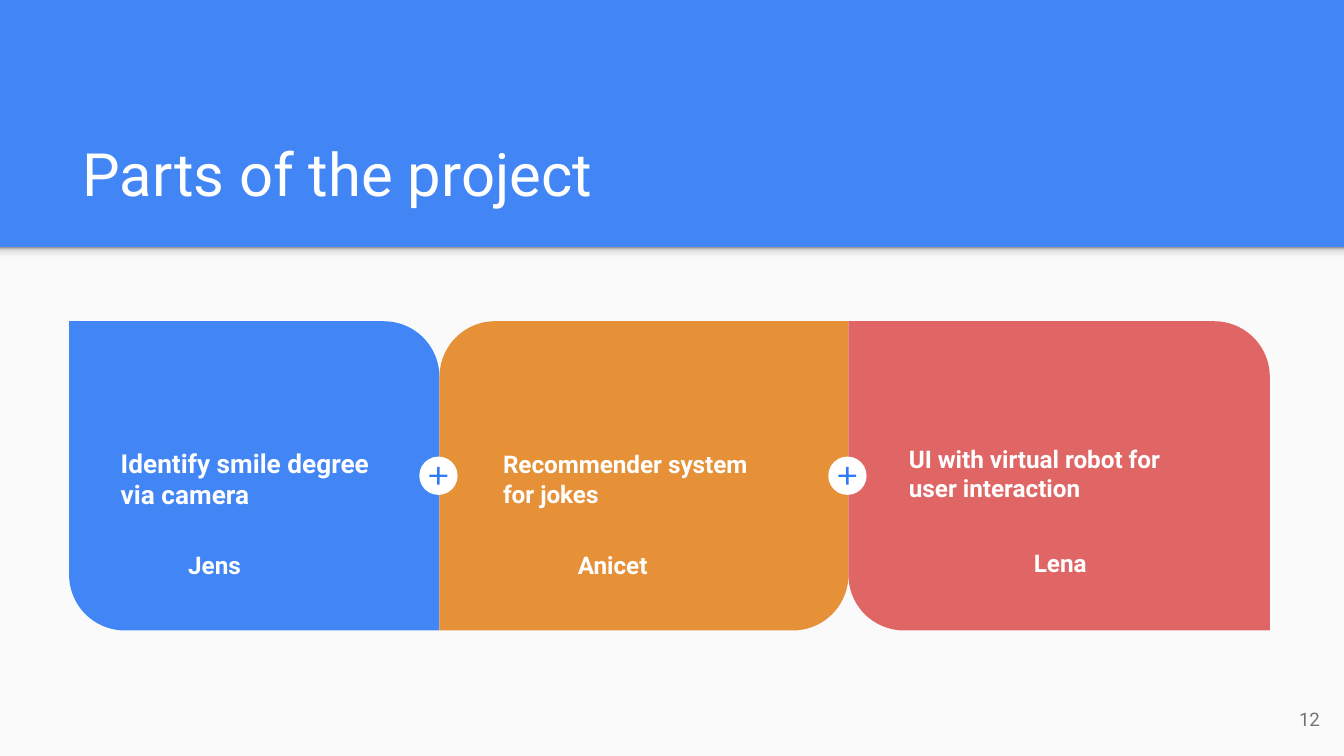
"""Build the slide that shows the three parts of the project and who owns each."""
from lxml import etree
from pptx import Presentation
from pptx import util as u
from pptx.dml.color import RGBColor
from pptx.enum import shapes, text
from pptx.oxml import ns

BLUE = RGBColor(0x42, 0x85, 0xF4)
ORANGE = RGBColor(0xE6, 0x91, 0x38)
RED = RGBColor(0xE0, 0x66, 0x66)
PLUS_BLUE = RGBColor(0x30, 0x7B, 0xF3)
WHITE = RGBColor(0xFF, 0xFF, 0xFF)
BLACK = RGBColor(0x00, 0x00, 0x00)
PAPER = RGBColor(0xFA, 0xFA, 0xFA)
GREY = RGBColor(0x73, 0x73, 0x73)
SHADE = [(0, RGBColor(0xF9, 0xF9, 0xF9)), (36, RGBColor(0xF9, 0xF9, 0xF9)),
         (80, RGBColor(0xDE, 0xDE, 0xDE)), (100, RGBColor(0x99, 0x99, 0x99))]

deck = Presentation()
deck.slide_width = u.Inches(10)
deck.slide_height = deck.slide_width * 9 // 16
COL, ROW = deck.slide_width / 100, deck.slide_height / 100
slide = deck.slides.add_slide(deck.slide_layouts[5])
slide.background.fill.solid()
slide.background.fill.fore_color.rgb = BLUE


def add_block(kind, left, top, width, height, color):
    """Add a flat preset shape measured in grid columns and rows."""
    block = slide.shapes.add_shape(kind, int(left * COL), int(top * ROW),
                                   int(width * COL), int(height * ROW))
    block.shadow.inherit = False
    block.line.fill.background()
    block.fill.solid()
    block.fill.fore_color.rgb = color
    return block


def write(box, left, top, width, height, runs, align, anchor=text.MSO_ANCHOR.TOP):
    """Place a text holder on the grid and fill its only paragraph with runs."""
    box.left, box.top = int(left * COL), int(top * ROW)
    box.width, box.height = int(width * COL), int(height * ROW)
    frame = box.text_frame
    frame.word_wrap = True
    frame.auto_size = text.MSO_AUTO_SIZE.NONE
    frame.vertical_anchor = anchor
    frame.margin_left = frame.margin_right = u.Inches(0.1)
    frame.margin_top = frame.margin_bottom = u.Inches(0.1)
    paragraph = frame.paragraphs[0]
    if TAB in runs:
        tab_stops = etree.SubElement(paragraph._p.get_or_add_pPr(), ns.qn("a:tabLst"))
        etree.SubElement(tab_stops, ns.qn("a:tab"), pos=str(u.Inches(1)), algn="l")
    paragraph.alignment = align
    for words, size, font, color, bold in runs:
        run = paragraph.add_run()
        run.text = words
        run.font.size, run.font.name, run.font.bold = u.Pt(size), font, bold
        run.font.color.rgb = color


LEFT, CENTER, RIGHT = text.PP_ALIGN.LEFT, text.PP_ALIGN.CENTER, text.PP_ALIGN.RIGHT
TAB = ("\t", 14, "Arial", BLACK, False)
HEADER = 32.7
add_block(shapes.MSO_SHAPE.RECTANGLE, 0, HEADER, 100, 100 - HEADER, PAPER)
header_shadow = add_block(shapes.MSO_SHAPE.RECTANGLE, 0, HEADER, 100, 2.1, PAPER)
header_shadow.fill.gradient()
header_shadow.fill.gradient_angle = 90
stops = header_shadow.element.find(".//" + ns.qn("a:gsLst"))
for stop in list(stops):
    stops.remove(stop)
for percent, shade in SHADE:
    stop = etree.SubElement(stops, ns.qn("a:gs"), pos=str(percent * 1000))
    etree.SubElement(stop, ns.qn("a:srgbClr"), val=str(shade))

write(slide.shapes.title, 5.15, 14.4, 89.9, 14.9,
      [("Parts of the project", 32, "Roboto", WHITE, False)], LEFT, text.MSO_ANCHOR.BOTTOM)

SEAMS = [5.15, 32.7, 63.13, 94.48]
PARTS = [
    (BLUE, (0, 0.18), "Identify smile degree via camera", 14, (8, 57.4, 21.9, 11.2), "Jens", [TAB]),
    (ORANGE, (0.18, 0), "Recommender system for jokes", 13, (36.45, 57.7, 22.7, 11.9), "Anicet", [TAB]),
    (RED, (0, 0.18), "UI with virtual robot for user interaction", 13, (66.65, 56.95, 23.4, 11.9), "Lena", []),
]
for start, end, part in zip(SEAMS, SEAMS[1:], PARTS):
    color, corners, task, size, task_area, owner, owner_tail = part
    panel = add_block(shapes.MSO_SHAPE.ROUND_2_DIAG_RECTANGLE, start, 42.5, end - start, 40.9, color)
    panel.adjustments[0], panel.adjustments[1] = corners
    write(slide.shapes.add_textbox(0, 0, 0, 0), *task_area,
          [(task, size, "Roboto", WHITE, True)], LEFT)
    write(slide.shapes.add_textbox(0, 0, 0, 0), start + 0.08, 70.75, end - start, 4.8,
          [(owner, 13, "Roboto", WHITE, True)] + owner_tail, CENTER)

for seam in SEAMS[1:-1]:
    add_block(shapes.MSO_SHAPE.OVAL, seam - 1.5, 60.4, 2.85, 5.07, WHITE)
    plus = add_block(shapes.MSO_SHAPE.MATH_PLUS, seam - 0.98, 61.33, 1.8, 3.2, PLUS_BLUE)
    plus.adjustments[0] = 0.1

write(slide.shapes.add_textbox(0, 0, 0, 0), 93.2, 91.35, 6, 7.6,
      [("12", 10, "Roboto", GREY, False)], RIGHT, text.MSO_ANCHOR.MIDDLE)

deck.save("out.pptx")
